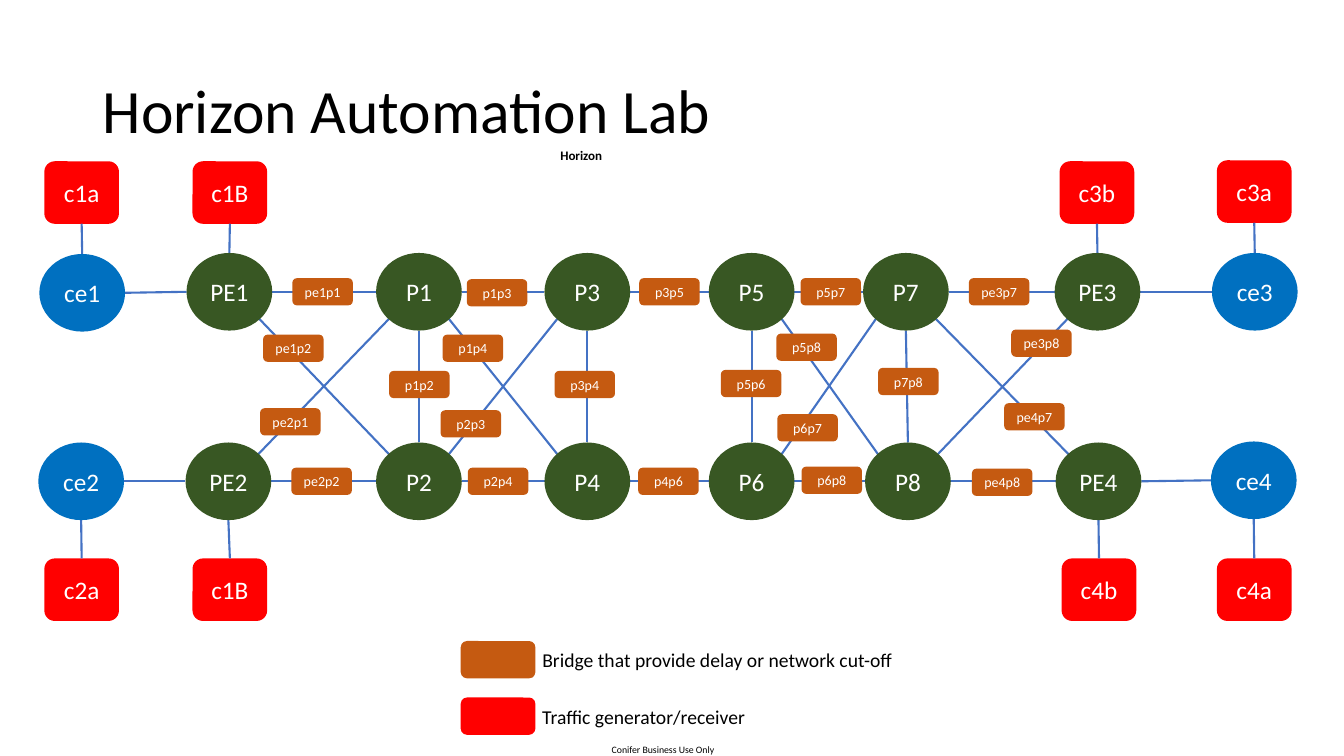
from pptx import Presentation
from pptx.dml.color import RGBColor
from pptx.enum.shapes import MSO_CONNECTOR as Connector, MSO_SHAPE as Shape
from pptx.enum.text import MSO_ANCHOR as Anchor, MSO_AUTO_SIZE as AutoSize, PP_ALIGN as Align
from pptx.oxml.ns import qn
from pptx.util import Emu, Pt

PX = 9144
FONT = "Calibri"
BLACK = RGBColor(0x00, 0x00, 0x00)
WHITE = RGBColor(0xFF, 0xFF, 0xFF)
BLUE = RGBColor(0x00, 0x70, 0xC0)
GREEN = RGBColor(0x38, 0x57, 0x23)
RED = RGBColor(0xFF, 0x00, 0x00)
ORANGE = RGBColor(0xC5, 0x5A, 0x11)
LINE = RGBColor(0x44, 0x72, 0xC4)

NODE_SIZE = (85, 77)
GENERATOR_SIZE = (74, 62)
BRIDGE_SIZE = (60, 27)
KEY_SIZE = (74, 37)

TITLE = "Horizon Automation Lab"
CAPTION = "Horizon"
FOOTER = "Conifer Business Use Only"

NODES = {
    "ce1": (39, 252), "PE1": (185, 251), "P1": (373, 251), "P3": (540, 251),
    "P5": (703, 251), "P7": (856, 251), "PE3": (1046, 251), "ce3": (1202, 251),
    "ce2": (38, 439), "PE2": (184, 439), "P2": (373, 439), "P4": (540, 439),
    "P6": (703, 439), "P8": (858, 439), "PE4": (1047, 439), "ce4": (1201, 438),
}
LINKS = [
    ("PE1", "ce1"), ("ce2", "PE2"), ("PE2", "P1"), ("P2", "PE2"), ("P2", "PE1"),
    ("P2", "P3"), ("PE4", "P2"), ("P8", "PE3"), ("P1", "PE1"), ("PE3", "ce3"),
    ("PE4", "ce4"), ("P2", "P1"), ("P8", "P7"), ("P4", "P1"), ("P7", "PE3"),
    ("P3", "P1"), ("PE4", "P7"), ("P3", "P5"), ("P4", "P3"), ("P6", "P5"),
    ("P5", "P7"), ("P5", "P8"), ("P6", "P7"),
]
GENERATORS = [
    ("c1a", 44, 160, "ce1"), ("c1B", 191, 160, "PE1"),
    ("c3b", 1051, 160, "PE3"), ("c3a", 1207, 159, "ce3"),
    ("c2a", 44, 554, "ce2"), ("c1B", 191, 554, "PE2"),
    ("c4b", 1053, 554, "PE4"), ("c4a", 1207, 554, "ce4"),
]
BRIDGES = {
    "pe1p1": (290, 276), "pe2p2": (289, 464), "p1p2": (386, 368), "p7p8": (871, 365),
    "p1p3": (463, 277), "p2p4": (464, 464), "p1p4": (439, 332), "p2p3": (437, 407),
    "pe3p7": (961, 276), "pe4p8": (964, 465), "pe1p2": (261, 332), "pe2p1": (258, 405),
    "pe3p8": (1003, 327), "pe4p7": (996, 400), "p3p4": (550, 368), "p3p5": (634, 276),
    "p4p6": (633, 464), "p5p6": (715, 367), "p5p7": (794, 276), "p6p8": (795, 463),
    "p5p8": (770, 331), "p6p7": (771, 411),
}
LEGEND = [
    (ORANGE, 636, "Bridge that provide delay or network cut-off", 371),
    (RED, 692, "Traffic generator/receiver", 224),
]

deck = Presentation()
deck.slide_width, deck.slide_height = Emu(1333 * PX), Emu(750 * PX)
page = deck.slides.add_slide(deck.slide_layouts[6])


def emu(*lengths):
    return [Emu(round(length * PX)) for length in lengths]


def write(frame, text, size, color, align, bold=False):
    para = frame.paragraphs[0]
    para.alignment = align
    span = para.add_run()
    span.text = text
    span.font.name, span.font.size, span.font.bold = FONT, Pt(size), bold
    span.font.color.rgb = color
    return para


def add_text(text, place, size, align=Align.LEFT, wrap=True, grow=True, inset=True, bold=False):
    frame = page.shapes.add_textbox(*emu(*place)).text_frame
    frame.word_wrap = wrap
    frame.auto_size = AutoSize.SHAPE_TO_FIT_TEXT if grow else AutoSize.NONE
    if not inset:
        frame.margin_left = frame.margin_right = frame.margin_top = frame.margin_bottom = 0
    return frame, write(frame, text, size, BLACK, align, bold)


def add_block(kind, corner, size, fill, text="", points=18):
    block = page.shapes.add_shape(kind, *emu(*corner, *size))
    block.shadow.inherit = False
    block.fill.solid()
    block.fill.fore_color.rgb = fill
    block.line.fill.background()
    if text:
        frame = block.text_frame
        frame.vertical_anchor = Anchor.MIDDLE
        frame.margin_left = frame.margin_right = 0
        write(frame, text, points, WHITE, Align.CENTER)
    return block


def add_line(start, end):
    line = page.shapes.add_connector(Connector.STRAIGHT, *emu(*start, *end))
    line.line.color.rgb = LINE
    line.line.width = Pt(1.5)
    properties = line._element.spPr
    properties.append(properties.makeelement(qn("a:effectLst"), {}))
    return line


def step(gap):
    return 0 if abs(gap) < 10 else (1 if gap > 0 else -1)


def rim(name, across, down):
    reach = 0.35 if across and down else 0.5
    (left, top), (width, height) = NODES[name], NODE_SIZE
    return left + width * (0.5 + reach * across), top + height * (0.5 + reach * down)


add_text(FOOTER, (605, 738, 105, 12), 7, Align.CENTER, inset=False)
title_frame, title_para = add_text(TITLE, (92, 40, 1150, 145), 44, grow=False)
title_frame.vertical_anchor = Anchor.MIDDLE
title_para.line_spacing = 0.9
caption_para = add_text(CAPTION, (540, 147, 73, 15), 9.3, Align.CENTER, inset=False, bold=True)[1]
caption_para.line_spacing = 0.95

for first, second in LINKS:
    across, down = (step(b - a) for a, b in zip(NODES[first], NODES[second]))
    add_line(rim(first, across, down), rim(second, -across, -down))

for name, left, top, node in GENERATORS:
    generator = add_block(Shape.ROUNDED_RECTANGLE, (left, top), GENERATOR_SIZE, RED, name)
    above = top < NODES[node][1]
    end = rim(node, 0, -1 if above else 1)
    add_line(end, end).begin_connect(generator, 2 if above else 0)

for name, corner in NODES.items():
    add_block(Shape.OVAL, corner, NODE_SIZE, BLUE if name.startswith("ce") else GREEN, name)

for name, corner in BRIDGES.items():
    add_block(Shape.ROUNDED_RECTANGLE, corner, BRIDGE_SIZE, ORANGE, name, 10)

for color, top, label, width in LEGEND:
    add_block(Shape.ROUNDED_RECTANGLE, (457, top), KEY_SIZE, color)
    add_text(label, (528, top + 2, width, 34), 14, wrap=False)

deck.save("out.pptx")
